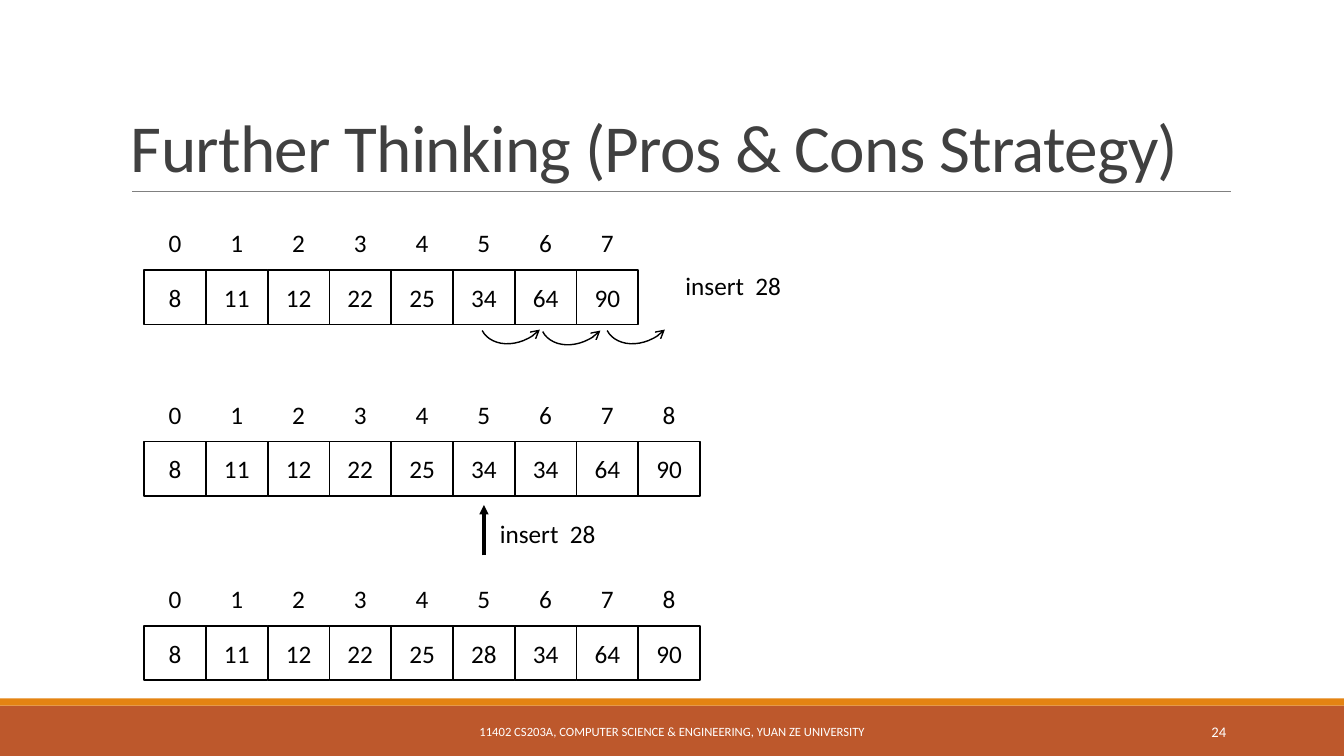
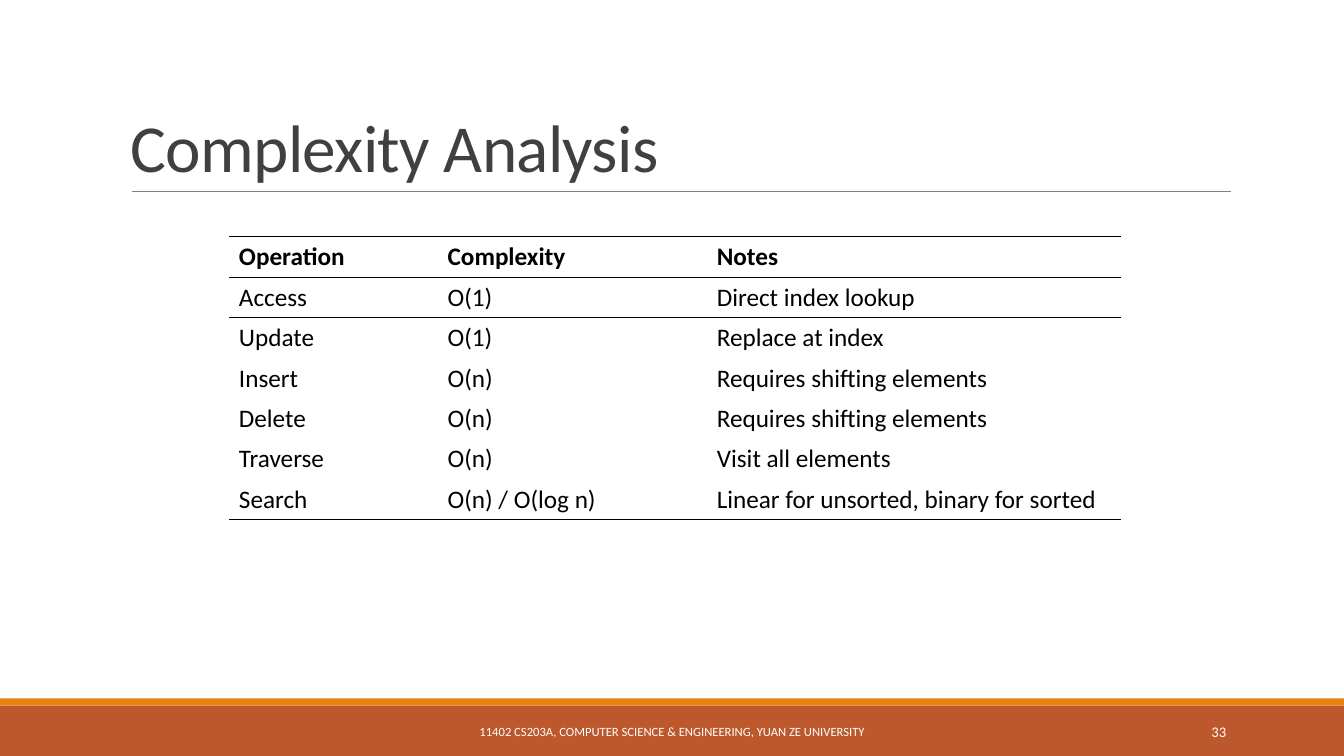
import dataclasses
import itertools
import typing

import lxml.etree
import pptx
import pptx.dml.color
import pptx.enum.shapes
import pptx.enum.text
import pptx.oxml
import pptx.oxml.ns
import pptx.util

Inches = pptx.util.Inches
Pt = pptx.util.Pt
Align = pptx.enum.text.PP_ALIGN
Anchor = pptx.enum.text.MSO_ANCHOR
Preset = pptx.enum.shapes.MSO_SHAPE
qn = pptx.oxml.ns.qn

FONT = "Calibri"
BLACK, WHITE, GREY, TITLE_GREY = "000000", "FFFFFF", "808080", "404040"
RUST, ORANGE = "BD582C", "E48312"
FOOTER = "11402 CS203A, COMPUTER SCIENCE & ENGINEERING, YUAN ZE UNIVERSITY"
PLAIN_TABLE = "{2D5ABB26-0587-4C30-8999-92F81FD0307C}"

ARRAY_LEFT = 1.43
CELL_WIDTH = 4.9 / 8
CELL_HEIGHT = 0.54


class Area(typing.NamedTuple):
    left: float
    top: float
    width: float
    height: float

    def lengths(self) -> list:
        return [Inches(value) for value in self]


@dataclasses.dataclass(frozen=True)
class TextStyle:
    size: float = 18
    color: str = BLACK
    bold: bool = False
    align: Align = Align.LEFT
    anchor: Anchor = Anchor.TOP
    wrap: bool = True
    line_spacing: float = 1.0
    tracking: int = 0


@dataclasses.dataclass(frozen=True)
class ArrayRow:
    top: float
    values: tuple


TITLE = TextStyle(48, TITLE_GREY, anchor=Anchor.BOTTOM, line_spacing=0.85, tracking=-50)
FOOTER_TEXT = TextStyle(9, WHITE, align=Align.CENTER, anchor=Anchor.MIDDLE)
PAGE_NUMBER = TextStyle(10.5, WHITE, align=Align.RIGHT, anchor=Anchor.MIDDLE)
ARRAY_TEXT = TextStyle(align=Align.CENTER, anchor=Anchor.MIDDLE)
LABEL = TextStyle(wrap=False)
TABLE_TEXT = TextStyle(anchor=Anchor.MIDDLE)
TABLE_HEADER = dataclasses.replace(TABLE_TEXT, bold=True)

ARRAYS = (
    ArrayRow(2.14, (8, 11, 12, 22, 25, 34, 64, 90)),
    ArrayRow(3.84, (8, 11, 12, 22, 25, 34, 34, 64, 90)),
    ArrayRow(5.67, (8, 11, 12, 22, 25, 28, 34, 64, 90)),
)
SHIFT_ARCS = ((4.74, 2.83), (5.34, 2.84), (5.98, 2.83))
INSERT_LABELS = ((6.7, 2.63), (4.86, 5.09))

COLUMN_WIDTHS = (2.07, 2.67, 4.11)
OPERATIONS = (
    ("Operation", "Complexity", "Notes"),
    ("Access", "O(1)", "Direct index lookup"),
    ("Update", "O(1)", "Replace at index"),
    ("Insert", "O(n)", "Requires shifting elements"),
    ("Delete", "O(n)", "Requires shifting elements"),
    ("Traverse", "O(n)", "Visit all elements"),
    ("Search", "O(n) / O(log n)", "Linear for unsorted, binary for sorted"),
)


def rgb(color: str) -> pptx.dml.color.RGBColor:
    return pptx.dml.color.RGBColor.from_string(color)


def apply(target: typing.Any, values: dict) -> None:
    for name, value in values.items():
        setattr(target, name, value)


def write(frame: typing.Any, text: str, style: TextStyle) -> None:
    apply(frame, {"word_wrap": style.wrap, "vertical_anchor": style.anchor})
    para = frame.paragraphs[0]
    apply(para, {"alignment": style.align, "line_spacing": style.line_spacing})
    span = para.add_run()
    span.text = text
    apply(span.font, {"name": FONT, "size": Pt(style.size), "bold": style.bold})
    span.font.color.rgb = rgb(style.color)
    if style.tracking:
        span.font._element.set("spc", str(style.tracking))


def add_text(page: typing.Any, area: Area, text: str, style: TextStyle) -> None:
    write(page.shapes.add_textbox(*area.lengths()).text_frame, text, style)


def draw_outline(shape: typing.Any, color: str, width: float) -> None:
    shape.line.color.rgb = rgb(color)
    shape.line.width = Pt(width)


def add_box(shapes: typing.Any, area: Area, fill: str, outline: float = 0) -> typing.Any:
    box = shapes.add_shape(Preset.RECTANGLE, *area.lengths())
    box.shadow.inherit = False
    box.fill.solid()
    box.fill.fore_color.rgb = rgb(fill)
    if outline:
        draw_outline(box, BLACK, outline)
    else:
        box.line.fill.background()
    return box


def add_arrowhead(shape: typing.Any, end: str, kind: str) -> None:
    outline = shape.element.spPr.find(qn("a:ln"))
    lxml.etree.SubElement(outline, qn(f"a:{end}")).set("type", kind)


def add_line(page: typing.Any, start: tuple, end: tuple, color: str, width: float) -> typing.Any:
    points = [Inches(value) for value in (*start, *end)]
    line = page.shapes.add_connector(pptx.enum.shapes.MSO_CONNECTOR.STRAIGHT, *points)
    draw_outline(line, color, width)
    lxml.etree.SubElement(line.element.spPr, qn("a:effectLst"))
    return line


def add_page(deck: typing.Any, title: str, number: int) -> typing.Any:
    page = deck.slides.add_slide(deck.slide_layouts[6])
    add_box(page.shapes, Area(0, 7, 13.33, 0.5), RUST)
    add_box(page.shapes, Area(0, 6.93, 13.33, 0.07), ORANGE)
    add_line(page, (1.31, 1.9), (12.21, 1.9), GREY, 0.5)
    add_text(page, Area(1.2, 0.31, 11, 1.59), title, TITLE)
    add_text(page, Area(4.03, 7.06, 5.27, 0.4), FOOTER, FOOTER_TEXT)
    add_text(page, Area(10.83, 7.06, 1.43, 0.4), str(number), PAGE_NUMBER)
    return page


def add_array(page: typing.Any, row: ArrayRow) -> None:
    group = page.shapes.add_group_shape()
    lines = ((range(len(row.values)), 0), (row.values, 1.25))
    for level, (values, outline) in enumerate(lines):
        for index, value in enumerate(values):
            area = Area(
                ARRAY_LEFT + index * CELL_WIDTH,
                row.top + level * CELL_HEIGHT,
                CELL_WIDTH,
                CELL_HEIGHT,
            )
            box = add_box(group.shapes, area, WHITE, outline)
            apply(box.text_frame, {"margin_left": 0, "margin_right": 0})
            write(box.text_frame, str(value), ARRAY_TEXT)


def add_shift_arc(page: typing.Any, left: float, top: float) -> None:
    arc = page.shapes.add_shape(Preset.ARC, *Area(left, top, 0.73, 0.56).lengths())
    arc.adjustments[0] = 144.14
    arc.adjustments[1] = 0
    arc.rotation = 152.4
    arc.shadow.inherit = False
    arc.fill.background()
    draw_outline(arc, BLACK, 1)
    add_arrowhead(arc, "headEnd", "arrow")


def add_border(cell: typing.Any, side: str) -> None:
    properties = cell._tc.get_or_add_tcPr()
    border = lxml.etree.SubElement(properties, qn(f"a:{side}"), w=str(Pt(1)))
    fill = lxml.etree.SubElement(border, qn("a:solidFill"))
    lxml.etree.SubElement(fill, qn("a:srgbClr"), val=BLACK)


def add_operations_table(page: typing.Any) -> None:
    last = len(OPERATIONS) - 1
    area = Area(2.27, 2.35, sum(COLUMN_WIDTHS), 2.8)
    frame = page.shapes.add_table(len(OPERATIONS), len(COLUMN_WIDTHS), *area.lengths())
    table = frame.table
    apply(table, {"first_row": False, "horz_banding": False})
    for style_id in frame.element.iter(qn("a:tableStyleId")):
        style_id.text = PLAIN_TABLE
    for column, width in zip(table.columns, COLUMN_WIDTHS):
        column.width = Inches(width)
    for row, column in itertools.product(range(last + 1), range(len(COLUMN_WIDTHS))):
        cell = table.cell(row, column)
        write(cell.text_frame, OPERATIONS[row][column], TABLE_TEXT if row else TABLE_HEADER)
        cell.vertical_anchor = Anchor.MIDDLE
        if row in (0, 1):
            add_border(cell, "lnT")
        if row in (0, last):
            add_border(cell, "lnB")
        cell.fill.background()


def add_strategy_page(deck: typing.Any) -> None:
    page = add_page(deck, "Further Thinking (Pros & Cons Strategy)", 24)
    for row in ARRAYS:
        add_array(page, row)
    for left, top in SHIFT_ARCS:
        add_shift_arc(page, left, top)
    arrow = add_line(page, (4.8, 5.51), (4.8, 5.01), BLACK, 2.25)
    add_arrowhead(arrow, "tailEnd", "triangle")
    for left, top in INSERT_LABELS:
        add_text(page, Area(left, top, 1.16, 0.4), "insert  28", LABEL)


def add_complexity_page(deck: typing.Any) -> None:
    add_operations_table(add_page(deck, "Complexity Analysis", 33))


def main() -> None:
    deck = pptx.Presentation()
    apply(deck, {"slide_width": Inches(13.33), "slide_height": Inches(7.5)})
    add_strategy_page(deck)
    add_complexity_page(deck)
    deck.save("out.pptx")


if __name__ == "__main__":
    main()
